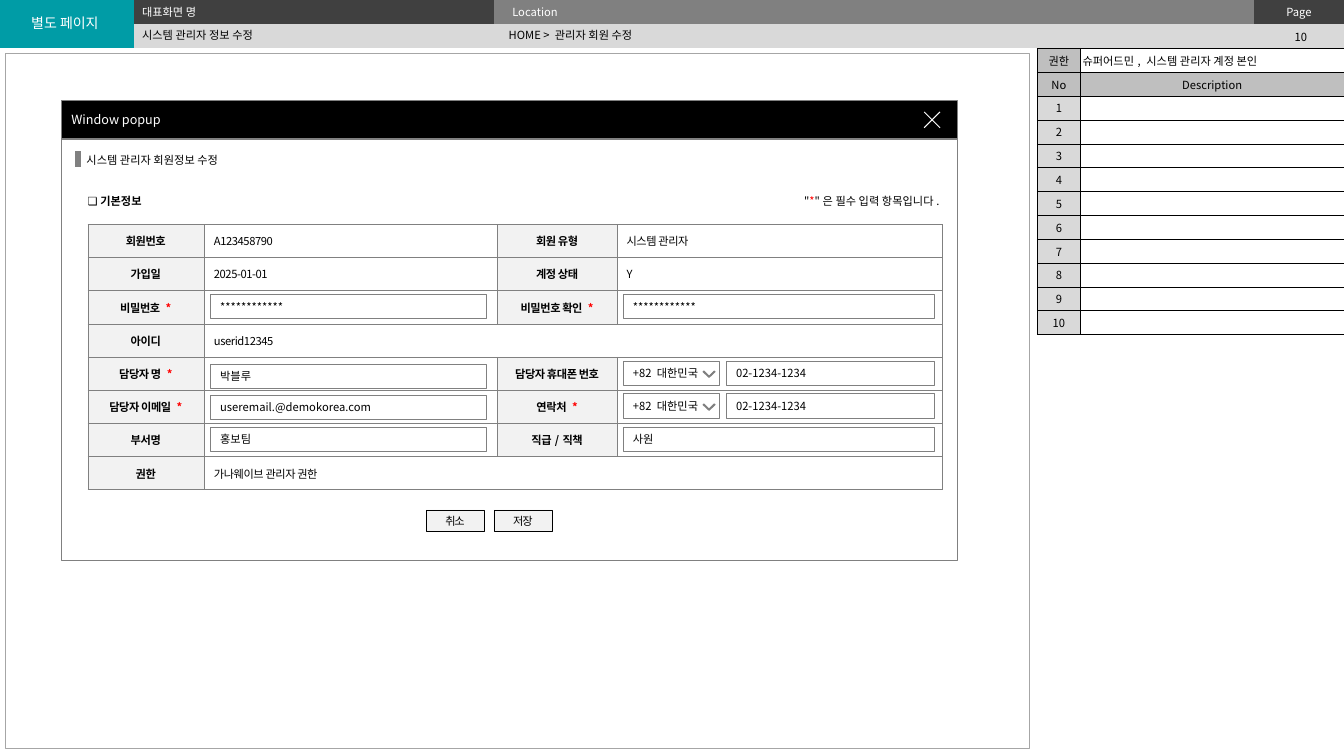
"""Build the admin member edit screen with its popup form and description panel."""
import pptx
import pptx.util
import pptx.dml.color
import pptx.enum.shapes
import pptx.enum.text
import pptx.oxml
import pptx.oxml.ns

Cm, Pt = pptx.util.Cm, pptx.util.Pt
RGB = pptx.dml.color.RGBColor.from_string
ALIGN, ANCHOR = pptx.enum.text.PP_ALIGN, pptx.enum.text.MSO_ANCHOR
RECT = pptx.enum.shapes.MSO_SHAPE.RECTANGLE
FONT = "Noto Sans CJK KR"
PLAIN = "{2D5ABB26-0587-4C30-8999-92F81FD0307C}"
HUE = {"teal": "009CA6", "dark": "404040", "gray": "808080", "edge": "A6A6A6",
       "mid": "BFBFBF", "light": "D9D9D9", "pale": "F2F2F2", "white": "FFFFFF",
       "black": "000000", "red": "FF0000", "mark": "5F5F5F"}

HEAD = [["", "", "Location", "Page"], ["", "", "", ""]]
HEAD_FILL = [["teal", "dark", "gray", "dark"], ["teal", "light", "light", "light"]]
SIDE = [["권한", "슈퍼어드민, 시스템 관리자 계정 본인"], ["No", "Description"]]
SIDE += [[str(n), ""] for n in range(1, 11)]
FORM = [
    ["회원번호", "A123458790", "회원 유형", "시스템 관리자"],
    ["가입일", "2025-01-01", "계정 상태", "Y"],
    ["비밀번호 *", "", "비밀번호 확인 *", ""],
    ["아이디", "userid12345", "", ""],
    ["담당자 명 *", "", "담당자 휴대폰 번호", ""],
    ["담당자 이메일 *", "", "연락처 *", ""],
    ["부서명", "", "직급/직책", ""],
    ["권한", "가나웨이브 관리자 권한", "", ""],
]
NOTE = (('"', "black"), ("*", "red"), ('"은 필수 입력 항목입니다.', "black"))
LABELS = [
    ("별도 페이지", (0.2, 0.23, 2.87, 0.69), dict(size=10, hue="white", align=ALIGN.CENTER)),
    ("대표화면 명", (3.33, 0, 9.2, 0.6), dict(hue="white")),
    ("HOME > 관리자 회원 수정", (12.57, 0.61, 9.22, 0.56), {}),
    ("10", (31.7, 0.62, 2.17, 0.61), dict(align=ALIGN.CENTER)),
    ("시스템 관리자 회원정보 수정", (1.93, 3.73, 6.12, 0.61), {}),
    ("❏ 기본정보", (1.96, 4.77, 2.3, 0.61), dict(bold=True)),
    (NOTE, (19.4, 4.77, 4.53, 0.61), dict(align=ALIGN.RIGHT)),
]
LEFT, RIGHT = (5.3, 6.95), (15.7, 7.85)
CODE, PHONE = (15.7, 2.42), (18.3, 5.25)
FIELDS = [
    ("************", LEFT, 7.42), ("************", RIGHT, 7.42),
    ("박블루", LEFT, 9.17), ("useremail.@demokorea.com", LEFT, 9.96),
    ("홍보팀", LEFT, 10.77), ("사원", RIGHT, 10.77),
]
PHONES = [9.09, 9.92]
BUTTONS = ["취소", "저장"]


def write(frame, text, size=8, hue="black", bold=False, align=ALIGN.LEFT, spc=0):
    """Fill a text frame with one formatted paragraph."""
    para = frame.paragraphs[0]
    para.alignment = align
    for part, tint in text if isinstance(text, tuple) else ((text, hue),):
        if not part:
            end = pptx.oxml.ns.qn("a:endParaRPr")
            para._p.append(para._p.makeelement(end, {"sz": str(size * 100)}))
            continue
        run = para.add_run()
        run.text = part
        run.font.name, run.font.size, run.font.bold = FONT, Pt(size), bold
        run.font.color.rgb = RGB(HUE[tint])
        props = run.font._element
        ea = props.makeelement(pptx.oxml.ns.qn("a:ea"), {"typeface": FONT})
        props.append(ea)
        if spc:
            props.set("spc", str(spc))


def inset(frame, side=0.25, top=0.13):
    """Set the margins of a frame or a cell."""
    frame.margin_left = frame.margin_right = Cm(side)
    frame.margin_top = frame.margin_bottom = Cm(top)


def paint(shape, fill, line, width):
    """Give a shape its fill and outline."""
    shape.shadow.inherit = False
    if fill:
        shape.fill.solid()
        shape.fill.fore_color.rgb = RGB(HUE[fill])
    else:
        shape.fill.background()
    shape.line.color.rgb = RGB(HUE[line])
    shape.line.width = Pt(width)


def box(slide, place, fill, line, width=0.25, text="", side=0.25, **fmt):
    """Draw a rectangle with optional text."""
    shape = slide.shapes.add_shape(RECT, *map(Cm, place))
    paint(shape, fill, line, width)
    if text:
        frame = shape.text_frame
        frame.word_wrap = True
        frame.vertical_anchor = ANCHOR.MIDDLE
        inset(frame, side, 0)
        write(frame, text, **fmt)


def label(shape, text, **fmt):
    """Format a text box or placeholder."""
    frame = shape.text_frame
    frame.word_wrap = True
    frame.auto_size = pptx.enum.text.MSO_AUTO_SIZE.NONE
    frame.vertical_anchor = ANCHOR.MIDDLE
    inset(frame, top=0)
    write(frame, text, **fmt)


def edge(cell, hue, width):
    """Draw the four borders of a cell."""
    props = cell._tc.get_or_add_tcPr()
    for spot, side in enumerate("LRTB"):
        props.insert(spot, pptx.oxml.parse_xml(
            f'<a:ln{side} {pptx.oxml.ns.nsdecls("a")} w="{int(Pt(width))}"><a:solidFill>'
            f'<a:srgbClr val="{HUE[hue]}"/></a:solidFill></a:ln{side}>'))


def grid(slide, data, place, cols, high, look, line=None, merge=(), pad=(0.25, 0.13)):
    """Add a table whose cell looks come from a rule."""
    table = slide.shapes.add_table(len(data), len(cols), Cm(place[0]), Cm(place[1]),
                                   Cm(sum(cols)), Cm(high)).table
    table._tbl.tblPr.find(pptx.oxml.ns.qn("a:tableStyleId")).text = PLAIN
    for col, wide in zip(table.columns, cols):
        col.width = Cm(wide)
    for r, row in enumerate(data):
        table.rows[r].height = int(Cm(high) / len(data))
        for c, text in enumerate(row):
            cell = table.cell(r, c)
            fill, fmt = look(r, c)
            cell.fill.solid()
            cell.fill.fore_color.rgb = RGB(HUE[fill])
            cell.vertical_anchor = ANCHOR.MIDDLE
            inset(cell, *pad)
            if text.endswith(" *"):
                text = ((text[:-1], "black"), ("*", "red"))
            write(cell.text_frame, text, **fmt)
            if line:
                edge(cell, *line)
    for start, stop in merge:
        table.cell(*start).merge(table.cell(*stop))


def head_look(r, c):
    """Return the look of a top bar cell."""
    return HEAD_FILL[r][c], dict(hue="white", align=ALIGN.CENTER if c == 3 else ALIGN.LEFT)


def side_look(r, c):
    """Return the look of a description panel cell."""
    fill = "mid" if r == 1 or (r, c) == (0, 0) else "white" if c else "light"
    return fill, dict(align=ALIGN.LEFT if (r, c) == (0, 1) else ALIGN.CENTER)


def form_look(r, c):
    """Return the look of a form cell."""
    if c % 2 or (c == 2 and not FORM[r][c]):
        return "white", dict(spc=-30)
    return "pale", dict(bold=True, align=ALIGN.CENTER, spc=-30)


def trace(slide, strokes, fill, line, close):
    """Draw an outline from one or more strokes."""
    pen = slide.shapes.build_freeform(*map(Cm, strokes[0][0]))
    for n, stroke in enumerate(strokes):
        if n:
            pen.move_to(*map(Cm, stroke[0]))
        pen.add_line_segments([tuple(map(Cm, dot)) for dot in stroke[1:]], close=close)
    paint(pen.convert_to_shape(), fill, line, 0.75)


def main():
    """Compose the slide and save it."""
    deck = pptx.Presentation()
    deck.slide_width, deck.slide_height = Cm(33.87), Cm(19.05)
    slide = deck.slides.add_slide(deck.slide_layouts[5])
    grid(slide, HEAD, (0, 0), [3.38, 9.07, 19.15, 2.27], 1.2, head_look,
         merge=[((0, 0), (1, 0))], pad=(0.46, 0.09))
    title = slide.shapes.title
    title.left, title.top, title.width, title.height = map(Cm, (3.33, 0.61, 9.22, 0.56))
    label(title, "시스템 관리자 정보 수정")
    slide.shapes._spTree.append(title._element)

    box(slide, (0.13, 1.35, 25.81, 17.5), None, "edge")
    box(slide, (1.55, 3.5, 22.58, 10.63), "white", "gray", 0.5)
    box(slide, (1.55, 2.54, 22.58, 0.96), "black", "gray", 0.5,
        "Window popup", size=9, hue="white")
    x, y, w, h = 23.29, 2.82, 0.4, 0.4
    trace(slide, [[(x + w, y), (x, y + h)], [(x, y), (x + w, y + h)]], None, "white", False)

    grid(slide, SIDE, (26.14, 1.22), [1.09, 6.64], 7.22, side_look, ("black", 0.5),
         pad=(0.05, 0.09))
    grid(slide, FORM, (2.21, 5.65), [2.93, 7.4, 3, 8.2], 6.69, form_look, ("gray", 0.25),
         [((r, 1), (r, 3)) for r in (3, 7)])
    for text, place, fmt in LABELS:
        label(slide.shapes.add_textbox(*map(Cm, place)), text, **fmt)

    bar = slide.shapes.add_connector(pptx.enum.shapes.MSO_CONNECTOR.STRAIGHT,
                                     Cm(1.96), Cm(3.81), Cm(1.96), Cm(4.22))
    bar.line.color.rgb, bar.line.width = RGB(HUE["gray"]), Pt(4.5)
    props = bar._element.spPr
    props.append(props.makeelement(pptx.oxml.ns.qn("a:effectLst"), {}))

    phones = [(text, span, top) for top in PHONES
              for text, span in (("+82 대한민국", CODE), ("02-1234-1234", PHONE))]
    for text, (left, wide), top in FIELDS + phones:
        box(slide, (left, top, wide, 0.61), "white", "gray", text=text)
    for top in PHONES:
        x, y = 17.87, top + 0.26
        arm = [(-0.13, 0), (-0.15, 0.02), (0, 0.16), (0.15, 0.02), (0.13, 0), (0, 0.13)]
        trace(slide, [[(x + dx, y + dy) for dx, dy in arm]], "mark", "gray", True)
    for n, text in enumerate(BUTTONS):
        box(slide, (10.74 + 1.71 * n, 12.85, 1.46, 0.54), "pale", "black", text=text,
            side=0, align=ALIGN.CENTER, spc=-90)
    deck.save("out.pptx")


if __name__ == "__main__":
    main()
